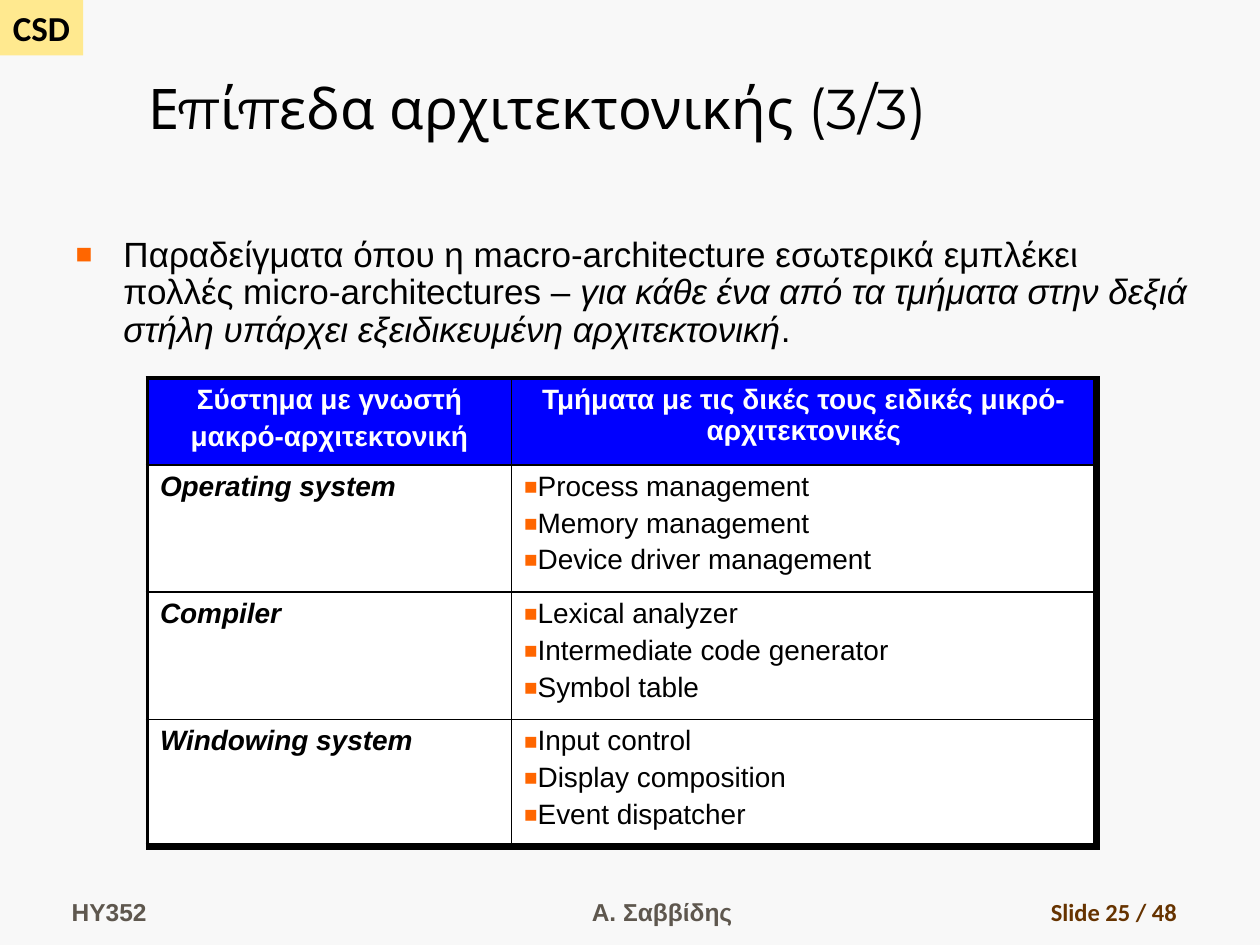
import dataclasses

import lxml.etree
import pptx
import pptx.dml.color
import pptx.enum.shapes
import pptx.enum.text
import pptx.oxml.ns
import pptx.util

Align = pptx.enum.text.PP_ALIGN
Anchor = pptx.enum.text.MSO_ANCHOR
qn = pptx.oxml.ns.qn


@dataclasses.dataclass(frozen=True)
class Theme:
    page: str = "F8F8F8"
    ink: str = "000000"
    paper: str = "FFFFFF"
    header: str = "0000FF"
    accent: str = "FF6600"
    badge: str = "FFE98F"
    footer: str = "5E574E"
    number: str = "663300"
    title_size: int = 32
    body_size: int = 20
    table_size: int = 16
    footer_size: int = 14
    text_font: str = "Arial"
    title_font: str = "Montserrat"
    label_font: str = "Calibri"
    thin: float = 1
    medium: float = 2.25
    thick: float = 4.5


theme = Theme()
rgb = pptx.dml.color.RGBColor.from_string
deck = pptx.Presentation()
deck.slide_width = pptx.util.Inches(10)
deck.slide_height = pptx.util.Inches(7.5)


def area(left, top, width, height):
    return [int(share * side / 100) for share, side in zip(
        (left, top, width, height), (deck.slide_width, deck.slide_height) * 2)]


def style(paragraph, size, color, face=theme.text_font, bold=False, italic=False,
          align=Align.LEFT, bullet=False):
    paragraph.alignment = align
    if bullet:
        properties = paragraph._p.get_or_add_pPr()
        tint = lxml.etree.SubElement(properties, qn("a:buClr"))
        lxml.etree.SubElement(tint, qn("a:srgbClr"), val=theme.accent)
        lxml.etree.SubElement(properties, qn("a:buSzPct"), val="80000")
        lxml.etree.SubElement(properties, qn("a:buFont"), typeface=theme.text_font)
        lxml.etree.SubElement(properties, qn("a:buChar"), char="■")
    font = paragraph.font
    font.name, font.size, font.bold, font.italic = face, pptx.util.Pt(size), bold, italic
    font.color.rgb = rgb(color)


slide = deck.slides.add_slide(deck.slide_layouts[1])
slide.background.fill.solid()
slide.background.fill.fore_color.rgb = rgb(theme.page)

badge = slide.shapes.add_shape(pptx.enum.shapes.MSO_SHAPE.RECTANGLE, *area(0, 0, 6.6, 5.87))
badge.shadow.inherit = False
badge.fill.solid()
badge.fill.fore_color.rgb = rgb(theme.badge)
badge.line.fill.background()
badge.text_frame.word_wrap = False
badge.text_frame.text = "CSD"
style(badge.text_frame.paragraphs[0], theme.body_size, theme.ink, theme.label_font,
      bold=True, align=Align.CENTER)

title, body = slide.shapes.title, slide.placeholders[1]
for holder, place in ((title, area(10.8, 2.27, 89.2, 13.33)),
                      (body, area(5, 24.4, 90.8, 7.73))):
    holder.left, holder.top, holder.width, holder.height = place
    holder.text_frame.auto_size = pptx.enum.text.MSO_AUTO_SIZE.NONE

title.text_frame.vertical_anchor = Anchor.BOTTOM
title.text_frame.text = "Επίπεδα αρχιτεκτονικής (3/3)"
style(title.text_frame.paragraphs[0], theme.title_size, theme.ink, theme.title_font)

statement = body.text_frame.paragraphs[0]
for words, italic in (
        ("Παραδείγματα όπου η macro-architecture εσωτερικά εμπλέκει "
         "πολλές micro-architectures – ", False),
        ("για κάθε ένα από τα τμήματα στην δεξιά στήλη υπάρχει "
         "εξειδικευμένη αρχιτεκτονική", True),
        (".", False)):
    run = statement.add_run()
    run.text, run.font.italic = words, italic
statement.line_spacing = 0.9
statement.space_before = pptx.util.Pt(0)
indent = pptx.util.Inches(0.38)
statement._p.get_or_add_pPr().set("marL", str(indent))
statement._p.get_or_add_pPr().set("indent", str(-indent))
style(statement, theme.body_size, theme.ink, bullet=True)

systems = [
    (["Σύστημα με γνωστή", "μακρό-αρχιτεκτονική"],
     ["Τμήματα με τις δικές τους ειδικές μικρό-αρχιτεκτονικές"]),
    (["Operating system"],
     ["Process management", "Memory management", "Device driver management"]),
    (["Compiler"],
     ["Lexical analyzer", "Intermediate code generator", "Symbol table"]),
    (["Windowing system"],
     ["Input control", "Display composition", "Event dispatcher"]),
]
table = slide.shapes.add_table(len(systems), 2, *area(11.7, 40, 75.3, 49.6)).table
table.first_row = table.horz_banding = False
for column, share in zip(table.columns, (28.9, 46.4)):
    column.width = int(deck.slide_width * share / 100)
for row, share in zip(table.rows, (9.2, 13.47, 13.47, 13.47)):
    row.height = int(deck.slide_height * share / 100)

for r, system in enumerate(systems):
    for c, lines in enumerate(system):
        cell = table.cell(r, c)
        heading, parts = r == 0, r > 0 and c == 1
        edges = {
            "a:lnL": theme.medium if c == 0 else theme.thin,
            "a:lnR": theme.thick if c == 1 else theme.thin,
            "a:lnT": theme.medium if heading else theme.thin,
            "a:lnB": theme.thick if r == len(systems) - 1 else theme.thin,
        }
        for edge, weight in edges.items():
            border = lxml.etree.SubElement(cell._tc.get_or_add_tcPr(), qn(edge),
                                           w=str(pptx.util.Pt(weight)))
            paint = lxml.etree.SubElement(border, qn("a:solidFill"))
            lxml.etree.SubElement(paint, qn("a:srgbClr"), val=theme.ink)
        cell.fill.solid()
        cell.fill.fore_color.rgb = rgb(theme.header if heading else theme.paper)
        cell.text_frame.text = "\n".join(lines)
        for order, line in enumerate(cell.text_frame.paragraphs):
            if order:
                line.space_before = pptx.util.Pt(0.2 * theme.table_size)
            style(line, theme.table_size, theme.paper if heading else theme.ink,
                  bold=not parts, italic=not heading and not parts,
                  align=Align.CENTER if heading else Align.LEFT, bullet=parts)

for words, left, width, align, color, face in (
        ("HY352", 4.7, 21.9, Align.LEFT, theme.footer, theme.text_font),
        ("Α. Σαββίδης", 36.7, 31.7, Align.CENTER, theme.footer, theme.text_font),
        ("Slide 25 / 48", 73.6, 20.8, Align.RIGHT, theme.number, theme.label_font)):
    footer = slide.shapes.add_textbox(*area(left, 92, width, 6.67)).text_frame
    footer.word_wrap = True
    footer.vertical_anchor = Anchor.BOTTOM
    footer.text = words
    style(footer.paragraphs[0], theme.footer_size, color, face, bold=True, align=align)

deck.save("out.pptx")
